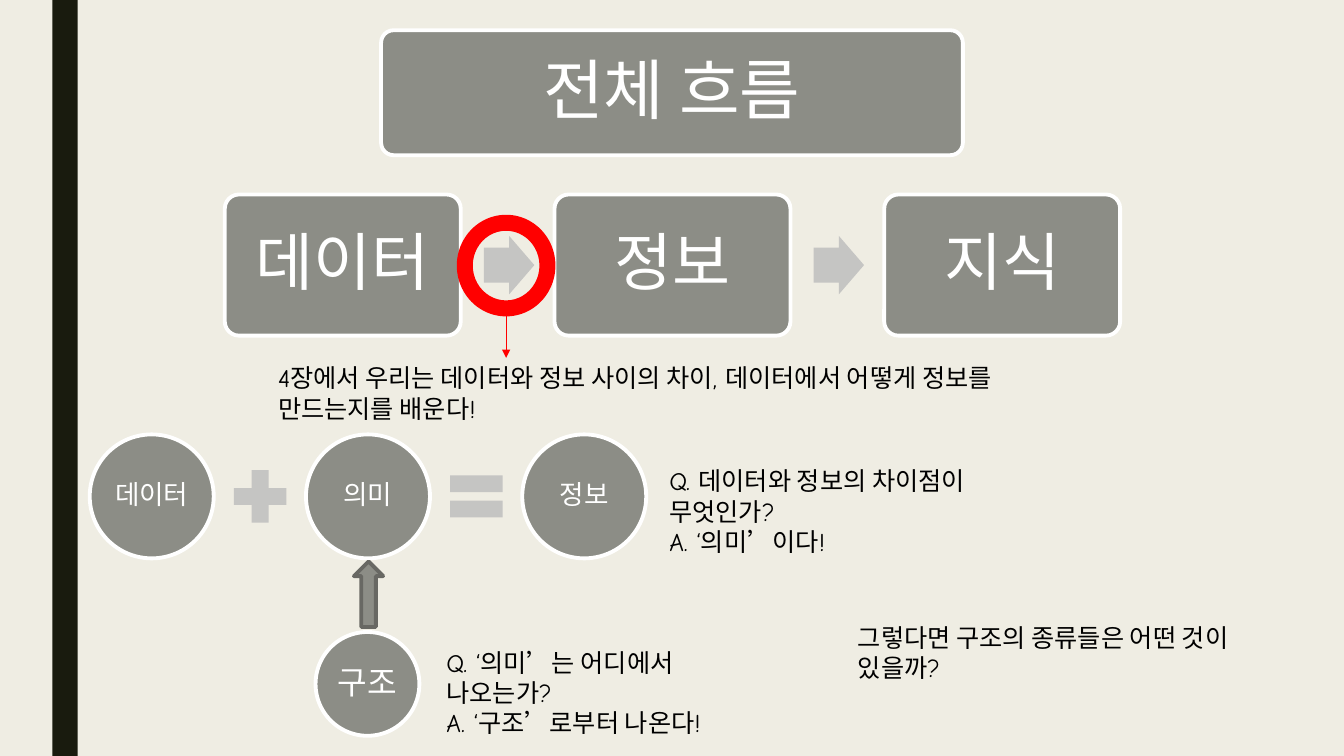
from pptx import Presentation
from pptx.dml.color import RGBColor
from pptx.enum.shapes import MSO_CONNECTOR, MSO_SHAPE
from pptx.enum.text import MSO_ANCHOR, PP_ALIGN
from pptx.oxml.ns import qn
from pptx.util import Inches, Pt
from lxml import etree

BACKGROUND = RGBColor(0xEF, 0xED, 0xE3)
SIDEBAR = RGBColor(0x19, 0x1B, 0x0E)
GRAY = RGBColor(0x8C, 0x8D, 0x86)
DARK_GRAY = RGBColor(0x68, 0x68, 0x63)
LIGHT_GRAY = RGBColor(0xC5, 0xC5, 0xC3)
WHITE = RGBColor(0xFF, 0xFF, 0xFF)
BLACK = RGBColor(0x00, 0x00, 0x00)
RED = RGBColor(0xFF, 0x00, 0x00)

RECTANGLE = MSO_SHAPE.RECTANGLE
ROUNDED = MSO_SHAPE.ROUNDED_RECTANGLE
OVAL = MSO_SHAPE.OVAL
DONUT = MSO_SHAPE.DONUT
RIGHT_ARROW = MSO_SHAPE.RIGHT_ARROW
DOWN_ARROW = MSO_SHAPE.DOWN_ARROW
PLUS = MSO_SHAPE.MATH_PLUS
EQUAL = MSO_SHAPE.MATH_EQUAL
STRAIGHT = MSO_CONNECTOR.STRAIGHT
MIDDLE = MSO_ANCHOR.MIDDLE
CENTER = PP_ALIGN.CENTER


class FlowSlide:
    """Holds the style and the current slide."""

    label_font = "Lato"
    note_font = "Comic Neue"
    outline_width = Pt(2.75)

    def __init__(self, presentation):
        self.slide = presentation.slides.add_slide(presentation.slide_layouts[6])
        self.slide.background.fill.solid()
        self.slide.background.fill.fore_color.rgb = BACKGROUND

    def style_font(self, paragraph, name, size, color):
        paragraph.font.name = name
        paragraph.font.size = Pt(size)
        paragraph.font.color.rgb = color

    def shape(self, kind, left, top, width, height, fill, line=None, adjustments=()):
        shape = self.slide.shapes.add_shape(
            kind, Inches(left), Inches(top), Inches(width), Inches(height))
        shape.shadow.inherit = False
        shape.fill.solid()
        shape.fill.fore_color.rgb = fill
        if line is None:
            shape.line.fill.background()
        else:
            shape.line.color.rgb = line
            shape.line.width = self.outline_width
        for index, value in enumerate(adjustments):
            shape.adjustments[index] = value
        return shape

    def label(self, shape, text, size, margin):
        frame = shape.text_frame
        frame.word_wrap = True
        frame.vertical_anchor = MIDDLE
        frame.margin_left = frame.margin_right = Inches(margin)
        frame.margin_top = frame.margin_bottom = Inches(margin)
        paragraph = frame.paragraphs[0]
        paragraph.text = text
        paragraph.alignment = CENTER
        paragraph.line_spacing = 0.9
        self.style_font(paragraph, self.label_font, size, WHITE)

    def box(self, text, left, top, width, height, size):
        shape = self.shape(ROUNDED, left, top, width, height, GRAY, WHITE, [0.1])
        self.label(shape, text, size, 0.19)

    def circle(self, text, left, top, diameter, size):
        shape = self.shape(OVAL, left, top, diameter, diameter, GRAY, WHITE)
        self.label(shape, text, size, 0.03)

    def note(self, lines, left, top, width, height):
        frame = self.slide.shapes.add_textbox(
            Inches(left), Inches(top), Inches(width), Inches(height)).text_frame
        frame.word_wrap = True
        frame.text = "\n".join(lines)
        for paragraph in frame.paragraphs:
            self.style_font(paragraph, self.note_font, 18, BLACK)

    def arrow(self, x, start, end, color):
        connector = self.slide.shapes.add_connector(
            STRAIGHT, Inches(x), Inches(start), Inches(x), Inches(end))
        connector.line.color.rgb = color
        connector.line.width = Pt(0.5)
        etree.SubElement(connector.line._get_or_add_ln(), qn("a:tailEnd"), type="triangle")
        etree.SubElement(connector._element.spPr, qn("a:effectLst"))


def main():
    presentation = Presentation()
    presentation.slide_width = Inches(13.33)
    presentation.slide_height = Inches(7.5)
    flow = FlowSlide(presentation)

    # Sidebar and title
    flow.shape(RECTANGLE, 0.52, 0, 0.25, 7.5, SIDEBAR)
    flow.box("전체 흐름", 3.78, 0.3, 5.77, 1.24, 47)

    # Data to knowledge
    for index, text in enumerate(["데이터", "정보", "지식"]):
        left = 2.23 + index * 3.27
        if index:
            flow.shape(RIGHT_ARROW, left - 0.7, 2.34, 0.5, 0.58, LIGHT_GRAY,
                       adjustments=[0.6, 0.5])
        flow.box(text, left, 1.93, 2.34, 1.4, 45)

    # Highlighted step
    flow.shape(DONUT, 4.55, 2.15, 0.94, 0.97, RED, RED, [0.128])
    flow.arrow(5.02, 3.11, 3.55, RED)
    flow.note(["4장에서 우리는 데이터와 정보 사이의 차이, 데이터에서 어떻게 정보를 만드는지를 배운다!"],
              2.66, 3.55, 8.02, 0.4)

    # Equation: data plus meaning equals information
    equation = [("데이터", None), ("의미", PLUS), ("정보", EQUAL)]
    for index, (text, operator) in enumerate(equation):
        left = 0.89 + index * 2.145
        if operator is not None:
            flow.shape(operator, left - 0.81, 4.57, 0.71, 0.71, LIGHT_GRAY)
        flow.circle(text, left, 4.31, 1.23, 19)
    flow.note(["Q. 데이터와 정보의 차이점이 무엇인가?", "A. ‘의미’이다!"], 6.54, 4.57, 3.74, 0.71)

    # Structure gives meaning
    flow.circle("구조", 3.13, 6.27, 1.03, 23)
    structure_arrow = flow.shape(DOWN_ARROW, 3.51, 5.57, 0.29, 0.65, GRAY, DARK_GRAY)
    structure_arrow.rotation = 180
    flow.note(["Q. ‘의미’는 어디에서 나오는가?", "A. ‘구조’로부터 나온다!"], 4.33, 6.37, 3.04, 0.71)
    flow.note(["그렇다면 구조의 종류들은 어떤 것이 있을까?"], 8.41, 6.12, 3.93, 0.4)

    presentation.save("out.pptx")


if __name__ == "__main__":
    main()
